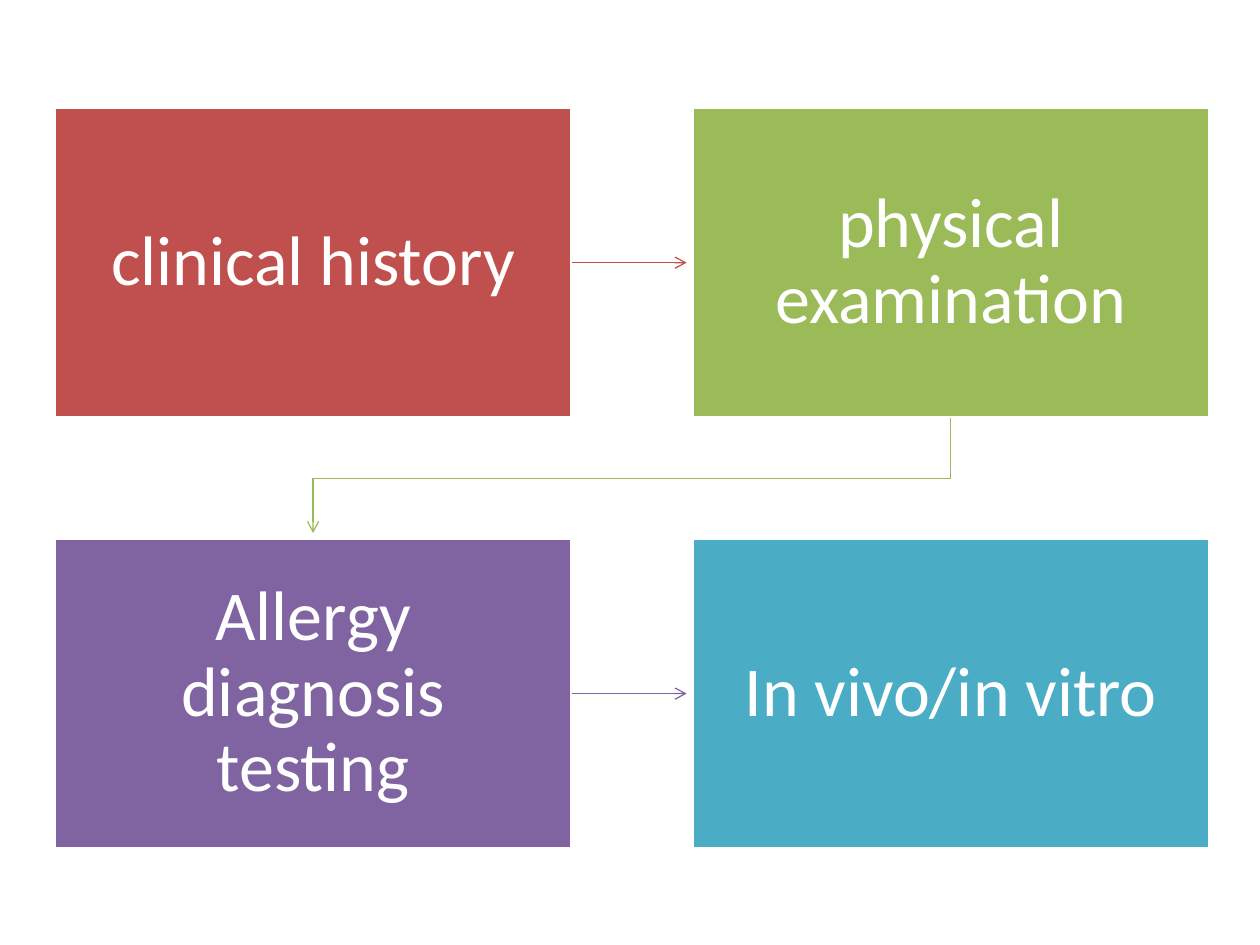
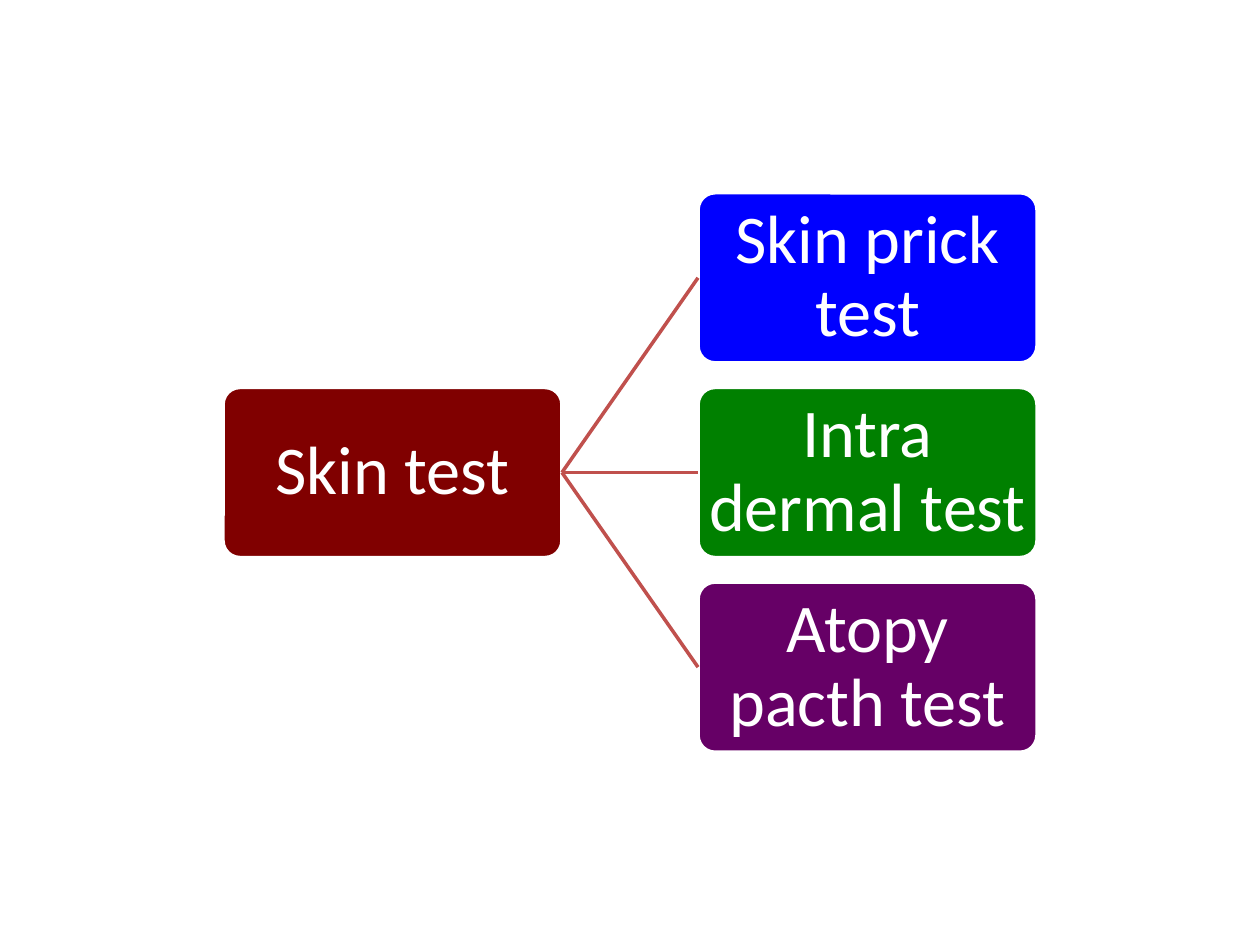
from pptx import Presentation
from pptx.dml.color import RGBColor
from pptx.enum.shapes import MSO_CONNECTOR as CONN, MSO_SHAPE as SHAPE
from pptx.enum.text import MSO_ANCHOR, PP_ALIGN
from pptx.oxml.ns import qn
from pptx.util import Inches, Pt
from lxml.etree import SubElement

WHITE = RGBColor(0xFF, 0xFF, 0xFF)
RED = RGBColor(0xC0, 0x50, 0x4D)
OLIVE = RGBColor(0x9B, 0xBB, 0x59)
VIOLET = RGBColor(0x80, 0x64, 0xA2)
AQUA = RGBColor(0x4B, 0xAC, 0xC6)
MAROON = RGBColor(0x80, 0x00, 0x00)
BLUE = RGBColor(0x00, 0x00, 0xFF)
GREEN = RGBColor(0x00, 0x80, 0x00)
PURPLE = RGBColor(0x66, 0x00, 0x66)

FONT = "Calibri"
TOP, LEFT, BOTTOM, RIGHT = range(4)
ARROW_GAP = Inches(0.04)

STEPS = [("clinical history", RED), ("physical examination", OLIVE),
         ("Allergy diagnosis testing", VIOLET), ("In vivo/in vitro", AQUA)]
STEP_W, STEP_H = 4.11, 2.47
STEP_LEFT, STEP_TOP = 0.43, 0.85
STEP_DX, STEP_DY = 5.06, 3.42

TESTS = [("Skin prick test", BLUE), ("Intra dermal test", GREEN),
         ("Atopy pacth test", PURPLE)]
NODE_W, NODE_H = 2.69, 1.35
NODE_LEFT, NODE_TOP = 1.77, 1.53
NODE_DX, NODE_DY = 3.77, 1.545


def add_box(s, kind, at, text, fill, size, inset):
    sp = s.shapes.add_shape(kind, *(Inches(v) for v in at))
    sp.shadow.inherit = False
    sp.fill.solid()
    sp.fill.fore_color.rgb = fill
    sp.line.color.rgb = WHITE
    sp.line.width = Pt(2)
    tf = sp.text_frame
    tf.word_wrap = True
    tf.vertical_anchor = MSO_ANCHOR.MIDDLE
    tf.margin_left = tf.margin_right = Inches(inset)
    tf.margin_top = tf.margin_bottom = Inches(inset)
    p = tf.paragraphs[0]
    p.alignment = PP_ALIGN.CENTER
    p.line_spacing = 0.9
    r = p.add_run()
    r.text = text
    r.font.name = FONT
    r.font.size = Pt(size)
    r.font.color.rgb = WHITE
    return sp


def add_step(s, index):
    row, col = divmod(index, 2)
    at = (STEP_LEFT + col * STEP_DX, STEP_TOP + row * STEP_DY, STEP_W, STEP_H)
    return add_box(s, SHAPE.RECTANGLE, at, *STEPS[index], 40, 0.31)


def add_node(s, col, row, text, fill):
    at = (NODE_LEFT + col * NODE_DX, NODE_TOP + row * NODE_DY, NODE_W, NODE_H)
    sp = add_box(s, SHAPE.ROUNDED_RECTANGLE, at, text, fill, 39, 0.03)
    sp.adjustments[0] = 0.1
    return sp


def style_line(sp, color, width, arrow=False):
    sp.line.color.rgb = color
    sp.line.width = Pt(width)
    if arrow:
        SubElement(sp.line._get_or_add_ln(), qn("a:tailEnd"), type="arrow")


def add_link(s, start, end, color, width, arrow=False):
    x, y = end.left, end.top + end.height // 2
    c = s.shapes.add_connector(CONN.STRAIGHT, x, y, x, y)
    c.begin_connect(start, RIGHT)
    if arrow:
        c.end_x = x - ARROW_GAP
    else:
        c.end_connect(end, LEFT)
    style_line(c, color, width, arrow)
    SubElement(c._element.spPr, qn("a:effectLst"))


def add_return_arrow(s, start, end, color):
    x1, x2 = (b.left + b.width // 2 for b in (start, end))
    y1, y2 = start.top + start.height, end.top
    middle = (y1 + y2) // 2
    fb = s.shapes.build_freeform(x1, y1)
    fb.add_line_segments([(x1, middle), (x2, middle), (x2, y2 - ARROW_GAP)],
                         close=False)
    sp = fb.convert_to_shape()
    sp.fill.background()
    style_line(sp, color, 0.75, arrow=True)
    sp.shadow.inherit = False


def build_steps(s):
    history, exam, testing, methods = [add_step(s, i) for i in range(len(STEPS))]
    add_link(s, history, exam, RED, 0.75, arrow=True)
    add_return_arrow(s, exam, testing, OLIVE)
    add_link(s, testing, methods, VIOLET, 0.75, arrow=True)


def build_tests(s):
    root = add_node(s, 0, 1, "Skin test", MAROON)
    for row, (text, fill) in enumerate(TESTS):
        add_link(s, root, add_node(s, 1, row, text, fill), RED, 2)


def main():
    prs = Presentation()
    prs.slide_width, prs.slide_height = Inches(10), Inches(7.5)
    for build in (build_steps, build_tests):
        build(prs.slides.add_slide(prs.slide_layouts[6]))
    prs.save("out.pptx")


if __name__ == "__main__":
    main()
